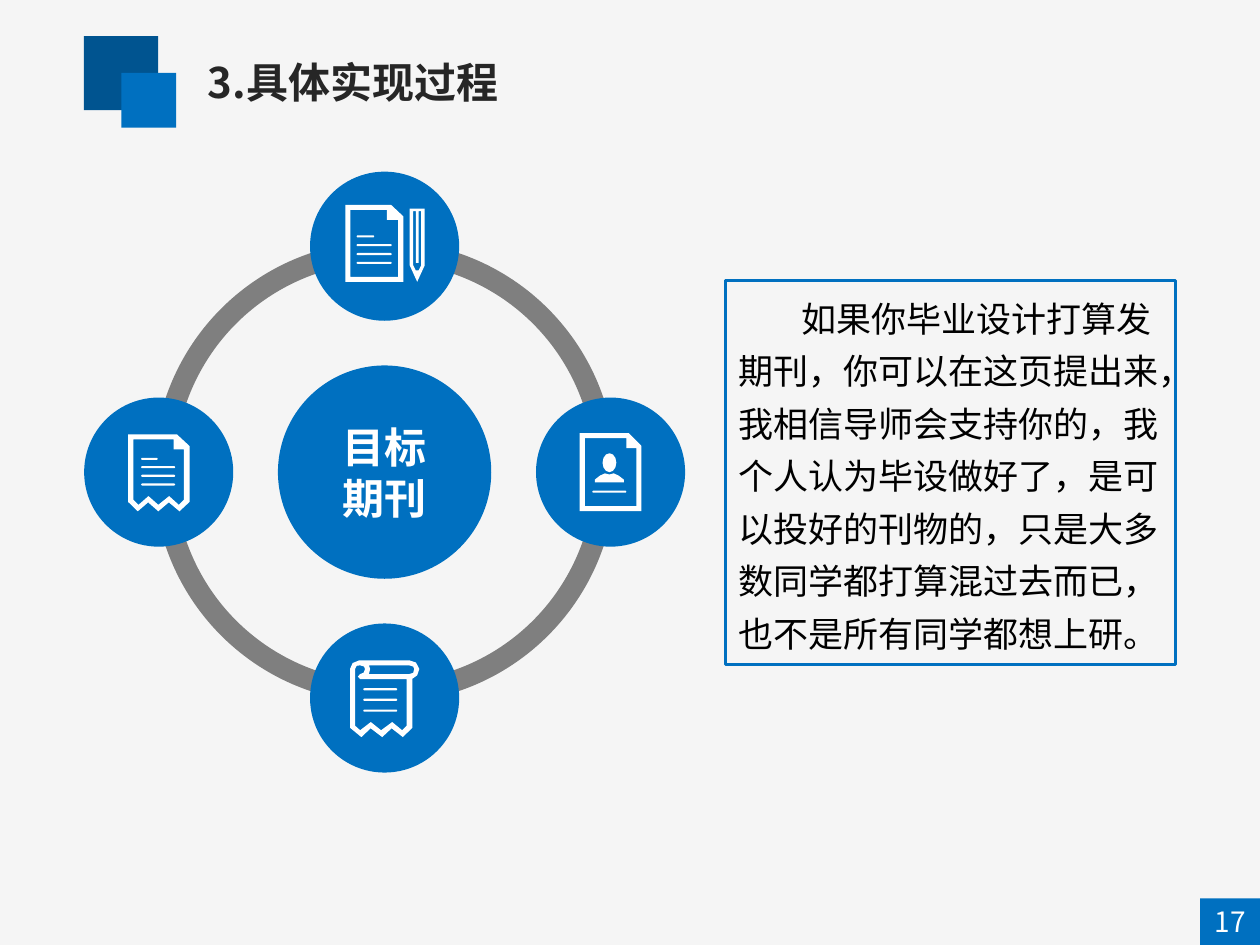
from lxml import etree
from pptx import Presentation
from pptx.dml.color import RGBColor
from pptx.enum.shapes import MSO_SHAPE
from pptx.enum.text import MSO_ANCHOR, PP_ALIGN
from pptx.oxml.ns import qn
from pptx.util import Pt

RECT, OVAL, ARC = MSO_SHAPE.RECTANGLE, MSO_SHAPE.OVAL, MSO_SHAPE.BLOCK_ARC
ROUNDED = MSO_SHAPE.ROUNDED_RECTANGLE
LEFT, CENTER = PP_ALIGN.LEFT, PP_ALIGN.CENTER
TOP, MIDDLE = MSO_ANCHOR.TOP, MSO_ANCHOR.MIDDLE

COLORS = {"background": "F5F5F5", "navy": "005490", "blue": "0070C0",
          "ring": "7F7F7F", "title": "262626", "white": "FFFFFF", "black": "000000"}
CJK_FONT = "Noto Sans CJK SC"

TITLE = "3.具体实现过程"
HUB = "目标\n期刊"
BODY = ("如果你毕业设计打算发期刊，你可以在这页提出来，我相信导师会支持你的，"
        "我个人认为毕设做好了，是可以投好的刊物的，只是大多数同学都打算混过去而已，"
        "也不是所有同学都想上研。")
PAGE_NUMBER = "17"

HUB_X, HUB_Y = 219.8, 269.8
HUB_SIZE, NODE_SIZE, RING_SIZE = 121.9, 85.2, 264.2
ORBIT = 129.1
RING_THICKNESS = 0.046
RULE_HEIGHT = 1.2
QUARTERS = (0, 54, 108, 162)  # arc angles in units of 5/3 degree


def folded_page(left, top, right, bottom, fold_x, fold_y, notch_x, notch_y, border):
    """Outer and inner contours of a page with its top right corner folded."""
    x1, y1, x2, y2 = left + border, top + border, right - border, bottom - border
    return [
        [(left, top), (fold_x, top), (right, fold_y), (right, bottom), (left, bottom)],
        [(x1, y1), (notch_x, y1), (notch_x, notch_y), (x2, notch_y), (x2, y2), (x1, y2)],
    ]


# Every icon is measured from the centre of its circle.
# direction: offset from the hub; outlines: lists of contours;
# rules: (left, middle, width) of the text lines; head: left, top, width, height
ICONS = [
    {"direction": (0, 1),  # scroll
     "outlines": [[
         [(-19.8, -16.6), (-18.3, -20), (-14.4, -21.6), (14, -21.6), (17.9, -20.3),
          (19.8, -16.6), (18.6, -13), (15.8, -11), (15.8, 17), (10.4, 22.3),
          (4, 17.3), (-1.4, 22.3), (-8, 17.3), (-13.3, 22.3), (-19.8, 17)],
         [(10, 18.4), (4.3, 13.7), (-2, 18.4), (-7.9, 13.7), (-14, 18.4),
          (-16.9, 15.8), (-16.9, -16.6), (-16, -18.4), (-14, -18.7), (-11.8, -18),
          (-11.2, -16.6), (-12, -14.5), (-14, -13.7), (-15.3, -12.3), (-14, -10.8),
          (12.6, -10.8), (12.6, 15.8)],
         [(14, -13.7), (-9, -13.7), (-8.3, -16.6), (-9, -18.7), (14, -18.7),
          (16.3, -18), (16.9, -16.6), (16.3, -14.4)],
     ]],
     "rules": [(-12.2, y, 19.4) for y in (-5, 1, 7.2)]},
    {"direction": (-1, 0),  # torn page
     "outlines": [[
         [(-17.5, -21.6), (10.4, -21.6), (17.7, -14.8), (17.7, 17), (11.9, 22.4),
          (5.8, 17.3), (-0.2, 22.4), (-6, 17.3), (-11.9, 22.4), (-17.5, 17)],
         [(11.5, 18.7), (6, 13.7), (-0.2, 18.7), (-5.8, 13.7), (-11.5, 18.7),
          (-14.4, 15.8), (-14.4, -18.7), (8.6, -18.7), (8.6, -13), (14.4, -13),
          (14.4, 15.8)],
     ]],
     "rules": [(-10, -7.6, 9.4)] + [(-10, y, 19.4) for y in (-2.8, 2.1, 7.1)]},
    {"direction": (0, -1),  # page and pencil
     "outlines": [
         folded_page(-22.5, -23.6, 10.7, 20.4, 3.7, -17, 1.3, -15, 2.9),
         [[(14.3, -21.5), (22.9, -21.5), (22.9, 10.9), (18.6, 20.3), (14.3, 10.9)],
          [(20.9, 10.9), (19.4, 13.8), (17.8, 13.8), (16.3, 10.9), (16.3, -20),
           (17.8, -20), (17.8, 9.5), (19.4, 9.5), (19.4, -20), (20.9, -20)]],
     ],
     "rules": [(-16, -5.6, 10)] + [(-16, y, 20) for y in (-0.6, 4.5, 9.5)]},
    {"direction": (1, 0),  # profile
     "outlines": [
         folded_page(-17.6, -22.3, 17.6, 22.3, 10.4, -15, 9, -13.7, 2.9),
         [[(-9, 5.8), (-9, 4.3), (-6, 2), (-3.2, 0.7), (-0.7, 1.4), (1.8, 0.7),
           (4.6, 2), (7.6, 4.3), (7.6, 5.8)]],
     ],
     "rules": [(-10.4, 11.2, 19.4)],
     "head": (-4.6, -10.8, 7.9, 10.8)},
]


def paint(shape, fill=None, line=None):
    shape.shadow.inherit = False
    if fill:
        shape.fill.solid()
        shape.fill.fore_color.rgb = RGBColor.from_string(COLORS[fill])
    else:
        shape.fill.background()
    if line:
        shape.line.color.rgb = RGBColor.from_string(COLORS[line])
        shape.line.width = Pt(2)
    else:
        shape.line.fill.background()
    return shape


def add_block(slide, kind, left, top, width, height, fill=None, line=None):
    shape = slide.shapes.add_shape(kind, Pt(left), Pt(top), Pt(width), Pt(height))
    return paint(shape, fill, line)


def add_disc(slide, x, y, size, fill):
    return add_block(slide, OVAL, x - size / 2, y - size / 2, size, size, fill)


def write(shape, text, size, color, font=CJK_FONT, bold=False,
          align=LEFT, anchor=TOP, wrap=True):
    frame = shape.text_frame
    frame.word_wrap = wrap
    frame.vertical_anchor = anchor
    frame.text = text
    for paragraph in frame.paragraphs:
        paragraph.alignment = align
        for run in paragraph.runs:
            run.font.size = Pt(size)
            run.font.bold = bold
            run.font.name = font
            run.font.color.rgb = RGBColor.from_string(COLORS[color])
            etree.SubElement(run.font._element, qn("a:ea"), typeface=CJK_FONT)
    return frame


def add_outline(slide, x, y, contours):
    """Draw contours as one freeform; inner contours become holes."""
    placed = [[(Pt(x + dx), Pt(y + dy)) for dx, dy in contour] for contour in contours]
    builder = slide.shapes.build_freeform(*placed[0][0])
    for number, (start, *rest) in enumerate(placed):
        if number:
            builder.move_to(*start)
        builder.add_line_segments(rest, close=True)
    paint(builder.convert_to_shape(), "white")


def add_icon(slide, icon):
    dx, dy = icon["direction"]
    x, y = HUB_X + dx * ORBIT, HUB_Y + dy * ORBIT
    add_disc(slide, x, y, NODE_SIZE, "blue")
    for left, middle, width in icon["rules"]:
        rule = add_block(slide, ROUNDED, x + left, y + middle - RULE_HEIGHT / 2,
                         width, RULE_HEIGHT, "white")
        rule.adjustments[0] = 0.5
    for contours in icon["outlines"]:
        add_outline(slide, x, y, contours)
    if "head" in icon:
        left, top, width, height = icon["head"]
        add_block(slide, OVAL, x + left, y + top, width, height, "white")


def main():
    deck = Presentation()
    deck.slide_width, deck.slide_height = Pt(720), Pt(540)
    slide = deck.slides.add_slide(deck.slide_layouts[6])
    slide.background.fill.solid()
    slide.background.fill.fore_color.rgb = RGBColor.from_string(COLORS["background"])

    add_block(slide, RECT, 48, 20.6, 42.4, 42.4, "navy")
    add_block(slide, RECT, 69.4, 41.7, 31.2, 31.2, "blue")
    title = slide.shapes.add_textbox(Pt(111.6), Pt(28.8), Pt(560), Pt(36))
    write(title, TITLE, 24, "title", bold=True)

    badge = add_block(slide, RECT, 685.8, 513.4, 34.2, 26.6, "blue")
    write(badge, PAGE_NUMBER, 16, "white", align=CENTER, anchor=MIDDLE, wrap=False)

    hub = add_disc(slide, HUB_X, HUB_Y, HUB_SIZE, "blue")
    write(hub, HUB, 24, "white", font="Arial", bold=True, align=CENTER, anchor=MIDDLE)

    for start, end in zip(QUARTERS, QUARTERS[1:] + QUARTERS[:1]):
        arc = add_block(slide, ARC, HUB_X - RING_SIZE / 2, HUB_Y - RING_SIZE / 2,
                        RING_SIZE, RING_SIZE, "ring")
        for index, value in enumerate((start, end, RING_THICKNESS)):
            arc.adjustments[index] = value
    for icon in ICONS:
        add_icon(slide, icon)

    note = add_block(slide, RECT, 414.7, 160.4, 257, 219.4, line="blue")
    paragraph = write(note, BODY, 20, "black").paragraphs[0]
    paragraph.line_spacing = 1.25
    paragraph._p.get_or_add_pPr().set("indent", str(Pt(36)))

    deck.save("out.pptx")


if __name__ == "__main__":
    main()
